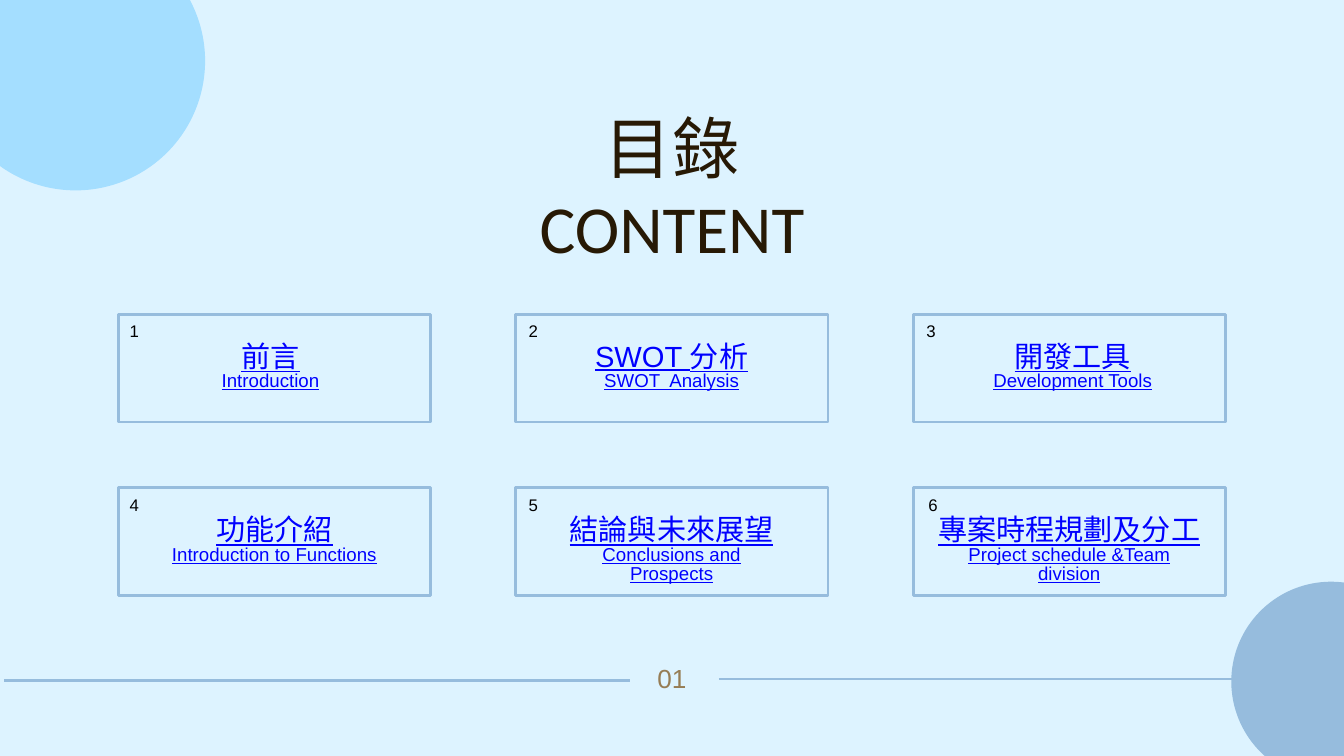
import pptx
import pptx.util
import pptx.dml.color
import pptx.enum.shapes
import pptx.enum.text
import pptx.oxml.ns
import lxml.etree

PX = 9525  # EMU per px, 1920 x 1080 px
COLORS = {
    "background": "DDF3FF", "sky": "A4DEFF", "steel": "96BCDD",
    "title": "271905", "link": "0000FF", "number": "000000", "page": "967D55",
}
RGB = {name: pptx.dml.color.RGBColor.from_string(c) for name, c in COLORS.items()}
SHAPES = pptx.enum.shapes.MSO_SHAPE


def px(*lengths):
    return [round(n * PX) for n in lengths]


def write(shape, lines, color, underline=False):
    """Fill a shape with centred lines of (text, size, spacing, font)."""
    tf = shape.text_frame
    tf.word_wrap = True
    tf.auto_size = pptx.enum.text.MSO_AUTO_SIZE.NONE
    tf.vertical_anchor = pptx.enum.text.MSO_ANCHOR.TOP
    tf.margin_left = tf.margin_right = tf.margin_top = tf.margin_bottom = 0
    tf.text = "\n".join(line[0] for line in lines)
    for p, (_, size, spacing, font) in zip(tf.paragraphs, lines):
        p.alignment = pptx.enum.text.PP_ALIGN.CENTER
        p.line_spacing = pptx.util.Pt(spacing)
        p.space_before = pptx.util.Pt(0)
        r = p.runs[0]
        r.font.size = pptx.util.Pt(size)
        r.font.name = font
        r.font.color.rgb = RGB[color]
        if underline:
            r.font.underline = True


prs = pptx.Presentation()
prs.slide_width, prs.slide_height = px(1920, 1080)
s = prs.slides.add_slide(prs.slide_layouts[5])
s.background.fill.solid()
s.background.fill.fore_color.rgb = RGB["background"]

# Title in two languages
title = s.shapes.title
title.left, title.top, title.width, title.height = px(453, 152, 1014, 121)
write(title, [("目錄", 72, 86.4, "Calibri")], "title")
subtitle = s.shapes.add_textbox(*px(453, 266, 1014, 121))
write(subtitle, [("CONTENT", 72, 86.4, "Calibri")], "title")

# Footer lines and page number
for x1, x2, y in [(1027, 1920, 970), (6, 900, 972)]:
    line = s.shapes.add_connector(
        pptx.enum.shapes.MSO_CONNECTOR.STRAIGHT, *px(x1, y, x2, y))
    line.line.color.rgb = RGB["steel"]
    line.line.width = pptx.util.Pt(3)
    lxml.etree.SubElement(line._element.spPr, pptx.oxml.ns.qn("a:effectLst"))
page = s.shapes.add_textbox(*px(871, 954, 178, 40))
write(page, [("01", 28, 28, "Arial")], "page")

# Corner circles
for x, y, size, color in [(1759, 831, 285, "steel"), (-77, -98, 370, "sky")]:
    circle = s.shapes.add_shape(SHAPES.OVAL, *px(x, y, size, size))
    circle.shadow.inherit = False
    circle.fill.solid()
    circle.fill.fore_color.rgb = RGB[color]
    circle.line.fill.background()

# Contents grid: heading, translation, heading font, text left and width, number left
entries = [
    ("前言", "Introduction", "Calibri", 234, 305, 185),
    ("SWOT 分析", "SWOT  Analysis", "Arial", 807, 305, 755),
    ("開發工具", "Development Tools", "Calibri", 1380, 305, 1323),
    ("功能介紹", "Introduction to Functions", "Calibri", 205, 374, 185),
    ("結論與未來展望", "Conclusions and Prospects", "Calibri", 807, 305, 755),
    ("專案時程規劃及分工", "Project schedule &Team division", "Calibri", 1336, 383, 1326),
]
for i, (heading, english, font, text_x, text_w, number_x) in enumerate(entries):
    row, col = divmod(i, 3)
    x, y = 169 + 568 * col, 449 + 248 * row
    box = s.shapes.add_shape(SHAPES.RECTANGLE, *px(x, y, 446, 154))
    box.shadow.inherit = False
    box.fill.background()
    box.line.color.rgb = RGB["steel"]
    box.line.width = pptx.util.Pt(3)
    label = s.shapes.add_textbox(*px(text_x, y + 42, text_w, 72))
    write(label, [(heading, 31.2, 31.2, font), (english, 20, 20, "Arial")],
          "link", underline=True)
    number = s.shapes.add_textbox(*px(number_x, y + 5, 14, 35))
    write(number, [(str(i + 1), 18, 25.2, "Arial")], "number")

prs.save("out.pptx")
